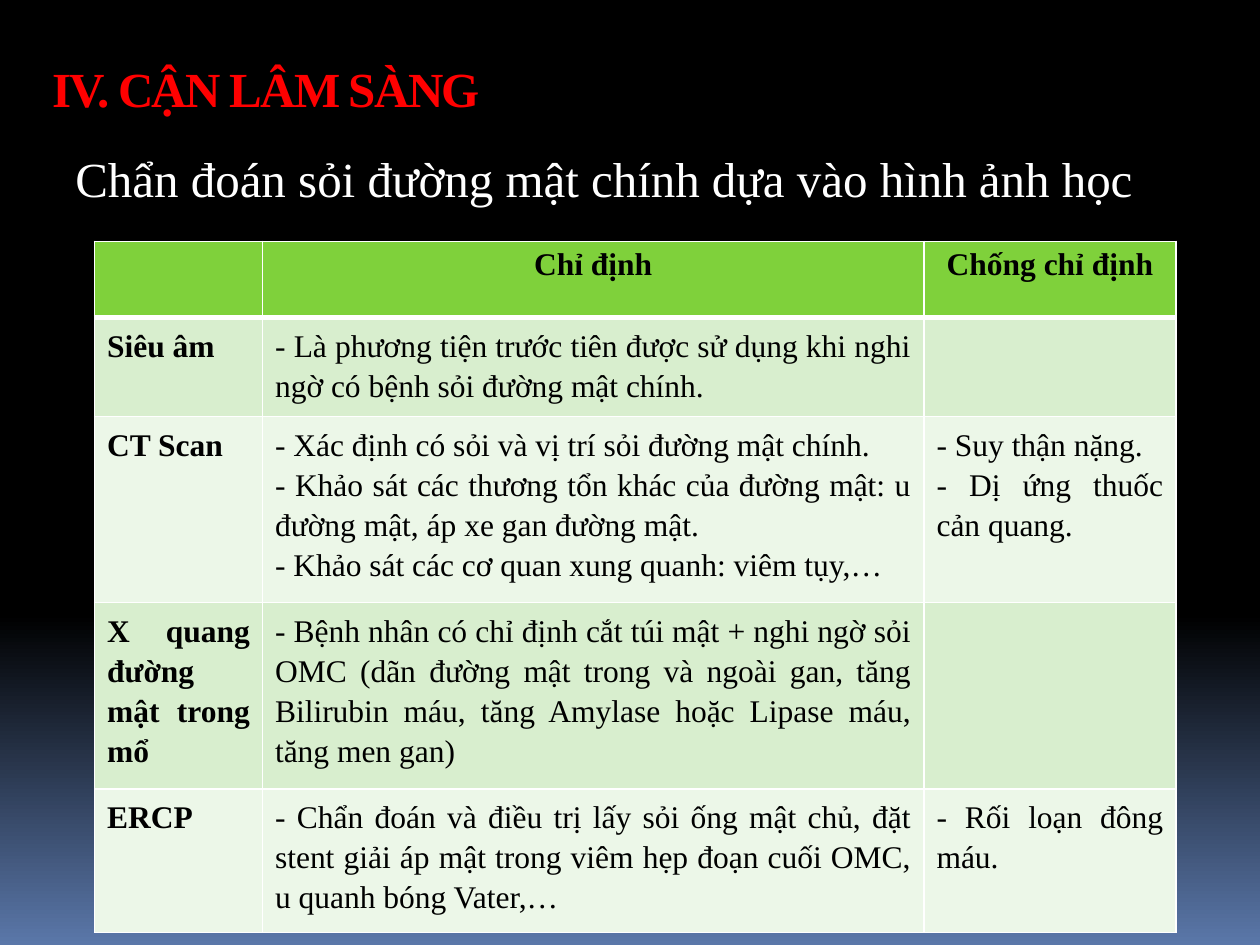
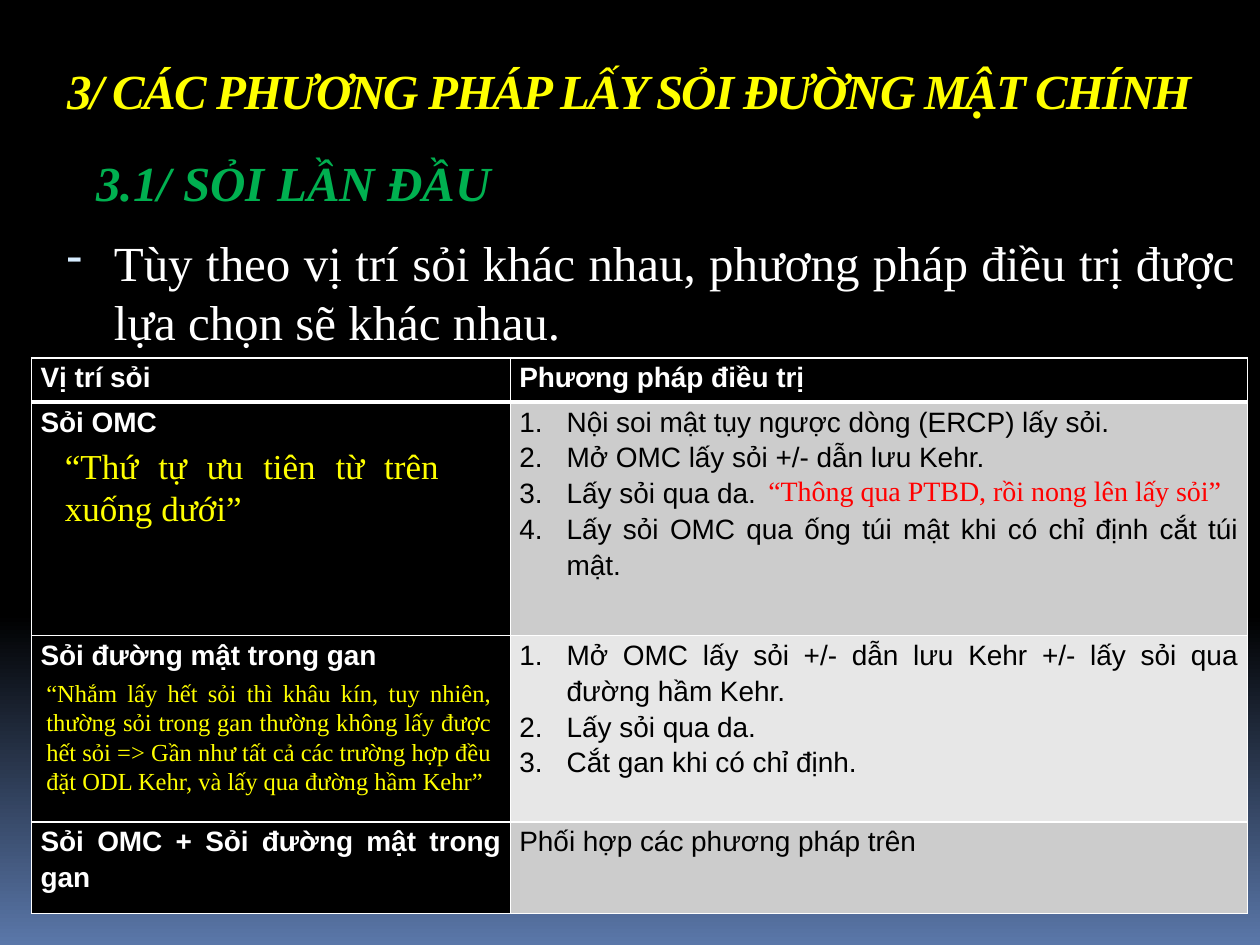
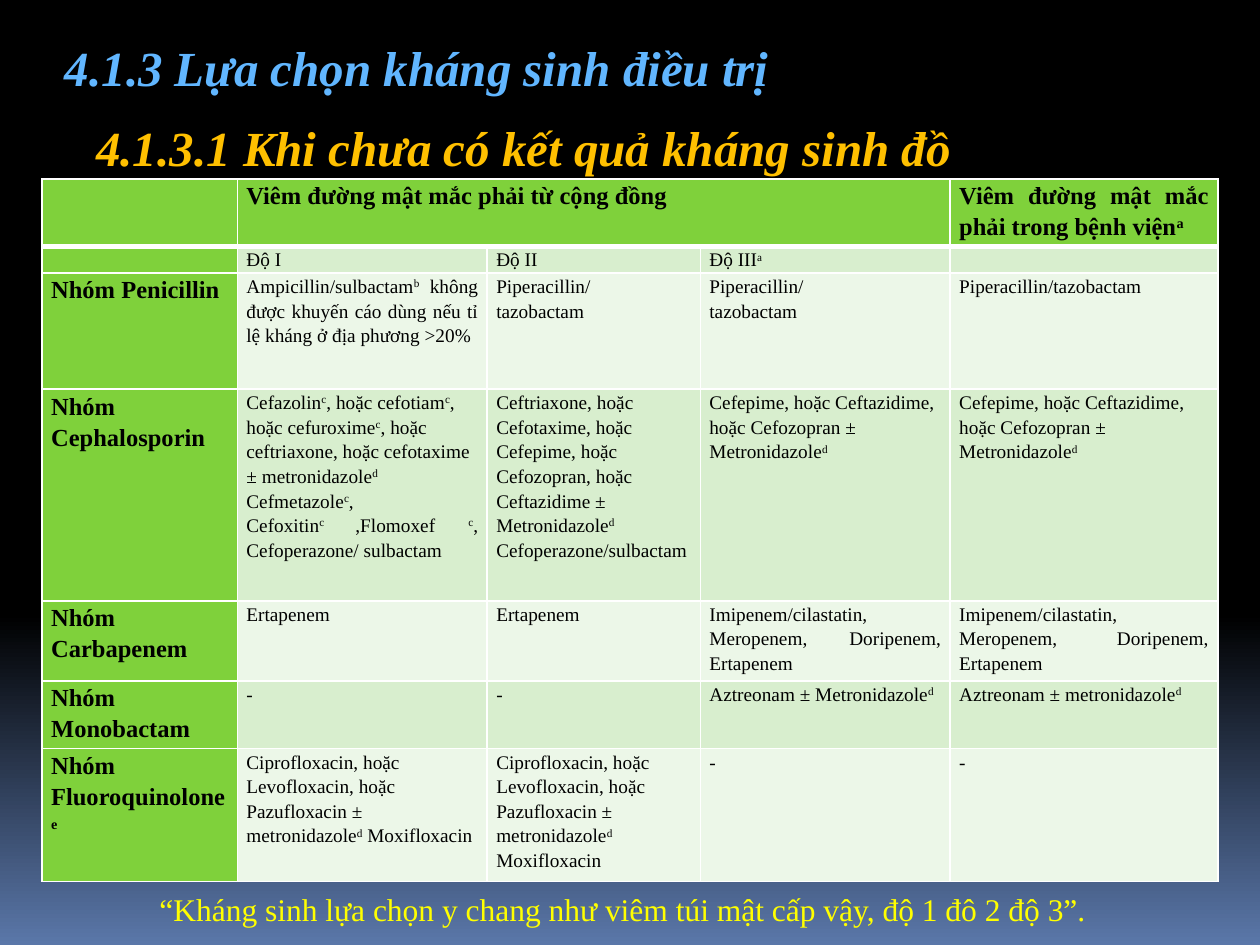
import pptx
import pptx.dml.color
import pptx.enum.text
import pptx.oxml.ns
import pptx.util
from lxml import etree

Pt = pptx.util.Pt
qn = pptx.oxml.ns.qn
ALIGN = pptx.enum.text.PP_ALIGN
SERIF, SANS = "Times New Roman", "Arial"
WHITE, BLACK, YELLOW, RED = "FFFFFF", "000000", "FFFF00", "FF0000"
GREEN, MINT, PALE = "7FD13B", "D8EECE", "ECF7E8"


def color(hex_code):
    return pptx.dml.color.RGBColor.from_string(hex_code)


def write(paragraph, text, font, size, hue, bold=False, italic=False,
          align=ALIGN.LEFT, bullet=None):
    """Fill a paragraph; text between ^ marks is superscript."""
    paragraph.alignment = align
    props = paragraph._p.get_or_add_pPr()
    if bullet:
        props.set("marL", str(Pt(27)))
        props.set("indent", str(-Pt(27)))
    if bullet == "dash":
        tint = etree.SubElement(props, qn("a:buClr"))
        etree.SubElement(tint, qn("a:srgbClr"), val="D6ECFF")
        etree.SubElement(props, qn("a:buSzPct"), val="95000")
        etree.SubElement(props, qn("a:buChar"), char="-")
    elif bullet == "number":
        etree.SubElement(props, qn("a:buAutoNum"), type="arabicPeriod")
    paragraph.font.name = font
    paragraph.font.size = Pt(size)
    paragraph.font.bold = bold
    paragraph.font.italic = italic
    paragraph.font.color.rgb = color(hue)
    for i, piece in enumerate(text.split("^")):
        if piece:
            run = paragraph.add_run()
            run.text = piece
            if i % 2:
                run._r.get_or_add_rPr().set("baseline", "30000")
    if not text:
        etree.SubElement(paragraph._p, qn("a:endParaRPr"), sz=str(size * 100))


deck = pptx.Presentation()
deck.slide_width, deck.slide_height = Pt(720), Pt(540)

# Slides with the shared black-to-blue background
slides = []
for _ in range(3):
    slide = deck.slides.add_slide(deck.slide_layouts[6])
    backdrop = slide.background.fill
    backdrop.gradient()
    backdrop.gradient_angle = 270
    for stop, position, hue in zip(backdrop.gradient_stops, (0.65, 1), (BLACK, "5A77A9")):
        stop.position = position
        stop.color.rgb = color(hue)
    slides.append(slide)

# Table contents: one list per row, a new line for each paragraph
imaging = [
    ["", "Chỉ định", "Chống chỉ định"],
    ["Siêu âm",
     "- Là phương tiện trước tiên được sử dụng khi nghi ngờ có bệnh sỏi đường mật chính.", ""],
    ["CT Scan",
     "- Xác định có sỏi và vị trí sỏi đường mật chính.\n"
     "- Khảo sát các thương tổn khác của đường mật: u đường mật, áp xe gan đường mật.\n"
     "- Khảo sát các cơ quan xung quanh: viêm tụy,…",
     "- Suy thận nặng.\n- Dị ứng thuốc cản quang."],
    ["X quang đường mật trong mổ",
     "- Bệnh nhân có chỉ định cắt túi mật + nghi ngờ sỏi OMC (dãn đường mật trong và ngoài gan, "
     "tăng Bilirubin máu, tăng Amylase hoặc Lipase máu, tăng men gan)", ""],
    ["ERCP",
     "- Chẩn đoán và điều trị lấy sỏi ống mật chủ, đặt stent giải áp mật trong viêm hẹp "
     "đoạn cuối OMC, u quanh bóng Vater,…",
     "- Rối loạn đông máu."],
]
treatments = [
    ["Vị trí sỏi", "Phương pháp điều trị"],
    ["Sỏi OMC",
     "Nội soi mật tụy ngược dòng (ERCP) lấy sỏi.\nMở OMC lấy sỏi +/- dẫn lưu Kehr.\n"
     "Lấy sỏi qua da.\nLấy sỏi OMC qua ống túi mật khi có chỉ định cắt túi mật."],
    ["Sỏi đường mật trong gan",
     "Mở OMC lấy sỏi +/- dẫn lưu Kehr +/- lấy sỏi qua đường hầm Kehr.\n"
     "Lấy sỏi qua da.\nCắt gan khi có chỉ định."],
    ["Sỏi OMC + Sỏi đường mật trong gan", "Phối hợp các phương pháp trên"],
]
piperacillin = "Piperacillin/\ntazobactam"
cefepime = "Cefepime, hoặc Ceftazidime, hoặc Cefozopran ± Metronidazole^d^"
imipenem = "Imipenem/cilastatin, Meropenem, Doripenem, Ertapenem"
quinolones = ("Ciprofloxacin, hoặc Levofloxacin, hoặc Pazufloxacin ± "
              "metronidazole^d^ Moxifloxacin")
antibiotics = [
    ["", "Viêm đường mật mắc phải từ cộng đồng", "", "",
     "Viêm đường mật mắc phải trong bệnh viện^a^"],
    ["", "Độ I", "Độ II", "Độ III^a^", ""],
    ["Nhóm Penicillin",
     "Ampicillin/sulbactam^b^ không được khuyến cáo dùng nếu tỉ lệ kháng ở địa phương >20%",
     piperacillin, piperacillin, "Piperacillin/tazobactam"],
    ["Nhóm Cephalosporin",
     "Cefazolin^c^, hoặc cefotiam^c^, hoặc cefuroxime^c^, hoặc ceftriaxone, "
     "hoặc cefotaxime ± metronidazole^d^\n"
     "Cefmetazole^c^, Cefoxitin^c ^,Flomoxef ^c^, Cefoperazone/ sulbactam",
     "Ceftriaxone, hoặc Cefotaxime, hoặc Cefepime, hoặc Cefozopran, hoặc "
     "Ceftazidime ± Metronidazole^d^\nCefoperazone/sulbactam",
     cefepime, cefepime],
    ["Nhóm Carbapenem", "Ertapenem", "Ertapenem", imipenem, imipenem],
    ["Nhóm Monobactam", "-", "-",
     "Aztreonam ± Metronidazole^d^", "Aztreonam ± metronidazole^d^"],
    ["Nhóm Fluoroquinolone^e^", quinolones, quinolones, "-", "-"],
]

# Tables: slide, content, left, top, columns, rows, font, label size, body size,
# label colour, header fill, first column fill, band fills, side and top insets
tables = [
    (slides[0], imaging, 54, 138, [96, 378, 144], [43.4, 56.6, 106.4, 106.6, 81.8],
     SERIF, 18, 18, BLACK, GREEN, None, (MINT, PALE), 7.2, 3.6),
    (slides[1], treatments, 18, 204.6, [273.6, 421.2], [25.2, 133.4, 106.4, 52.4],
     SANS, 16, 16, WHITE, BLACK, BLACK, ("CCCCCC", "E7E7E7"), 5.2, 0),
    (slides[2], antibiotics, 24, 102.2, [111.6, 142.8, 121.8, 142.8, 153],
     [38.4, 15.2, 66.4, 121, 45.8, 38.2, 76],
     SERIF, 14, 11, BLACK, GREEN, GREEN, (MINT, PALE), 5.2, 0),
]
for (slide, content, left, top, columns, rows, font, label_size, body_size,
     label_hue, header_fill, label_fill, bands, side_inset, top_inset) in tables:
    grid = slide.shapes.add_table(len(rows), len(columns), Pt(left), Pt(top),
                                  Pt(sum(columns)), Pt(sum(rows))).table
    grid.first_row = grid.horz_banding = False
    for column, width in zip(grid.columns, columns):
        column.width = Pt(width)
    for row, height in zip(grid.rows, rows):
        row.height = Pt(height)
    if content is antibiotics:
        grid.cell(0, 1).merge(grid.cell(0, 3))

    for r, texts in enumerate(content):
        for c, text in enumerate(texts):
            cell = grid.cell(r, c)
            cell.margin_left = cell.margin_right = Pt(side_inset)
            cell.margin_top = cell.margin_bottom = Pt(top_inset)

            # White rules, heavier under the header
            for side in "LRTB":
                heavy = (r, side) in ((0, "B"), (1, "T"))
                rule = etree.SubElement(cell._tc.get_or_add_tcPr(), qn("a:ln" + side),
                                        w=str(Pt(3 if heavy else 1)))
                paint = etree.SubElement(rule, qn("a:solidFill"))
                etree.SubElement(paint, qn("a:srgbClr"), val=WHITE)
            fill = bands[(r - 1) % 2]
            if r == 0:
                fill = header_fill
            elif c == 0 and label_fill:
                fill = label_fill
            cell.fill.solid()
            cell.fill.fore_color.rgb = color(fill)

            label = r == 0 or c == 0
            lines = text.split("\n")
            for i, line in enumerate(lines):
                paragraph = cell.text_frame.paragraphs[0] if i == 0 else cell.text_frame.add_paragraph()
                align = ALIGN.JUSTIFY
                if content is imaging and r == 0:
                    align = ALIGN.CENTER
                else:
                    paragraph.line_spacing = 1.15
                if content is antibiotics and ("hoặc" in line or "±" in line):
                    align = ALIGN.LEFT
                numbered = content is treatments and len(lines) > 1
                write(paragraph, line, font, label_size if label and text else body_size,
                      label_hue if label else BLACK, bold=label, align=align,
                      bullet="number" if numbered else None)

# Headings and remarks: slide, left, top, width, height, text, size, colour, style
heading = {"bold": True, "italic": True}
remark = {"align": ALIGN.JUSTIFY}
texts = [
    (slides[0], 23, 30, 697, 72, "IV. CẬN LÂM SÀNG", 28, RED, {"bold": True}),
    (slides[0], 36, 81.4, 636, 41, "Chẩn đoán sỏi đường mật chính dựa vào hình ảnh học",
     28, WHITE, {}),
    (slides[1], 31, 129.6, 682, 75,
     "Tùy theo vị trí sỏi khác nhau, phương pháp điều trị được lựa chọn sẽ khác nhau.",
     28, WHITE, {"bullet": "dash", **remark}),
    (slides[1], 31.6, 31, 682, 72, "3/ CÁC PHƯƠNG PHÁP LẤY SỎI ĐƯỜNG MẬT CHÍNH",
     28, YELLOW, heading),
    (slides[1], 48, 83.6, 306, 41, "3.1/ SỎI LẦN ĐẦU", 28, "00B050", heading),
    (slides[1], 30, 250.6, 228, 55.4, "“Thứ tự ưu tiên từ trên xuống dưới”",
     20, YELLOW, remark),
    (slides[1], 432, 267, 288, 26.6, "“Thông qua PTBD, rồi nong lên lấy sỏi”",
     16, RED, remark),
    (slides[1], 19.4, 383.8, 268.6, 75,
     "“Nhắm lấy hết sỏi thì khâu kín, tuy nhiên, thường sỏi trong gan thường không lấy được "
     "hết sỏi => Gần như tất cả các trường hợp đều đặt ODL Kehr, và lấy qua đường hầm Kehr”",
     14, YELLOW, remark),
    (slides[2], 30, 18, 558, 41, "4.1.3 Lựa chọn kháng sinh điều trị", 28, "61B6FF", heading),
    (slides[2], 48, 63.4, 582, 41, "4.1.3.1 Khi chưa có kết quả kháng sinh đồ",
     28, "FFC000", heading),
    (slides[2], 84, 504.8, 558, 29,
     "“Kháng sinh lựa chọn y chang như viêm túi mật cấp vậy, độ 1 đô 2 độ 3”.",
     18, YELLOW, remark),
]
for slide, left, top, width, height, text, size, hue, style in texts:
    frame = slide.shapes.add_textbox(Pt(left), Pt(top), Pt(width), Pt(height)).text_frame
    frame.word_wrap = True
    write(frame.paragraphs[0], text, SERIF, size, hue, **style)
    # Slide titles are the tall boxes and are set tighter
    if height == 72:
        frame.paragraphs[0].runs[0]._r.get_or_add_rPr().set("spc", "-100")

deck.save("out.pptx")
